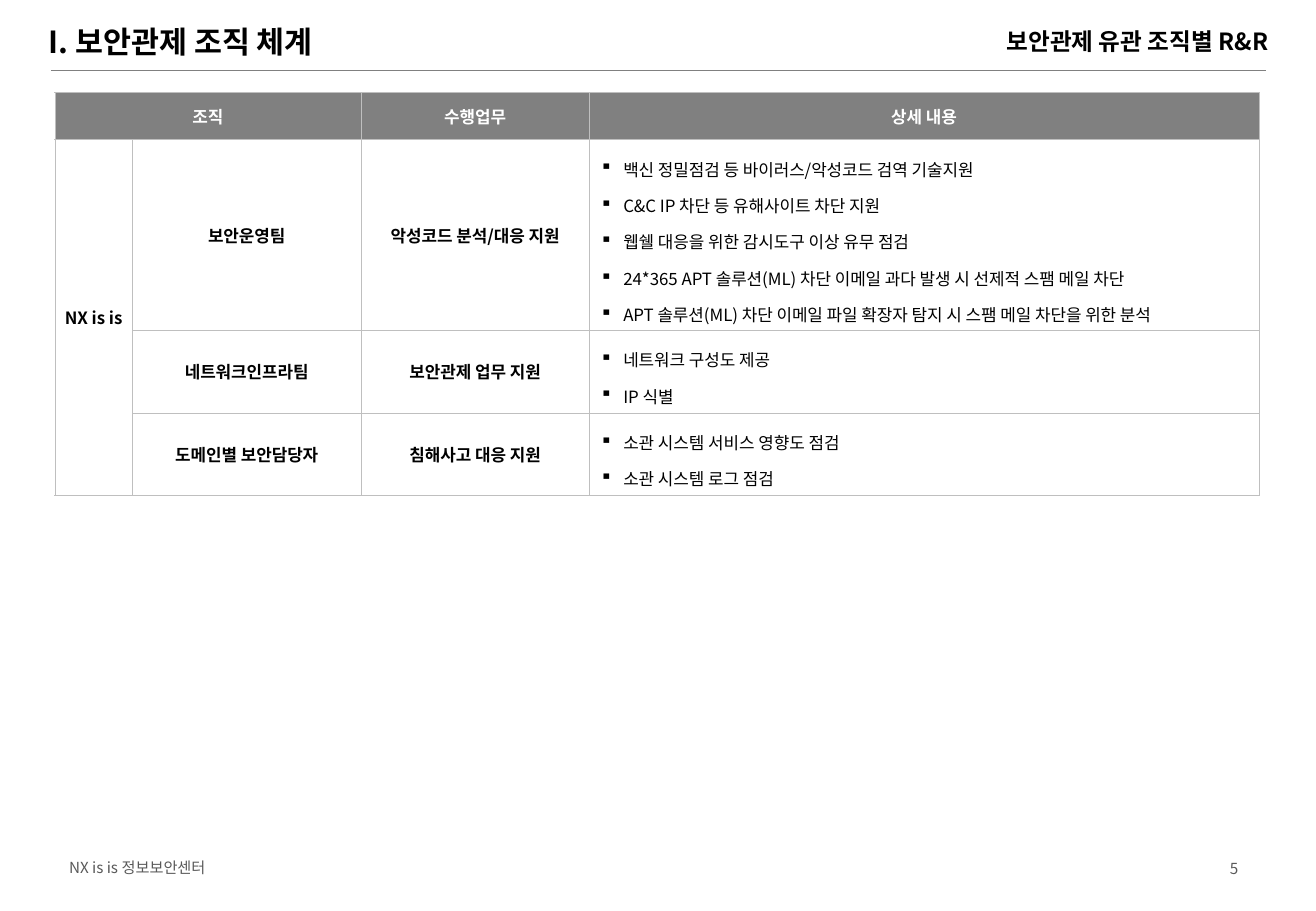
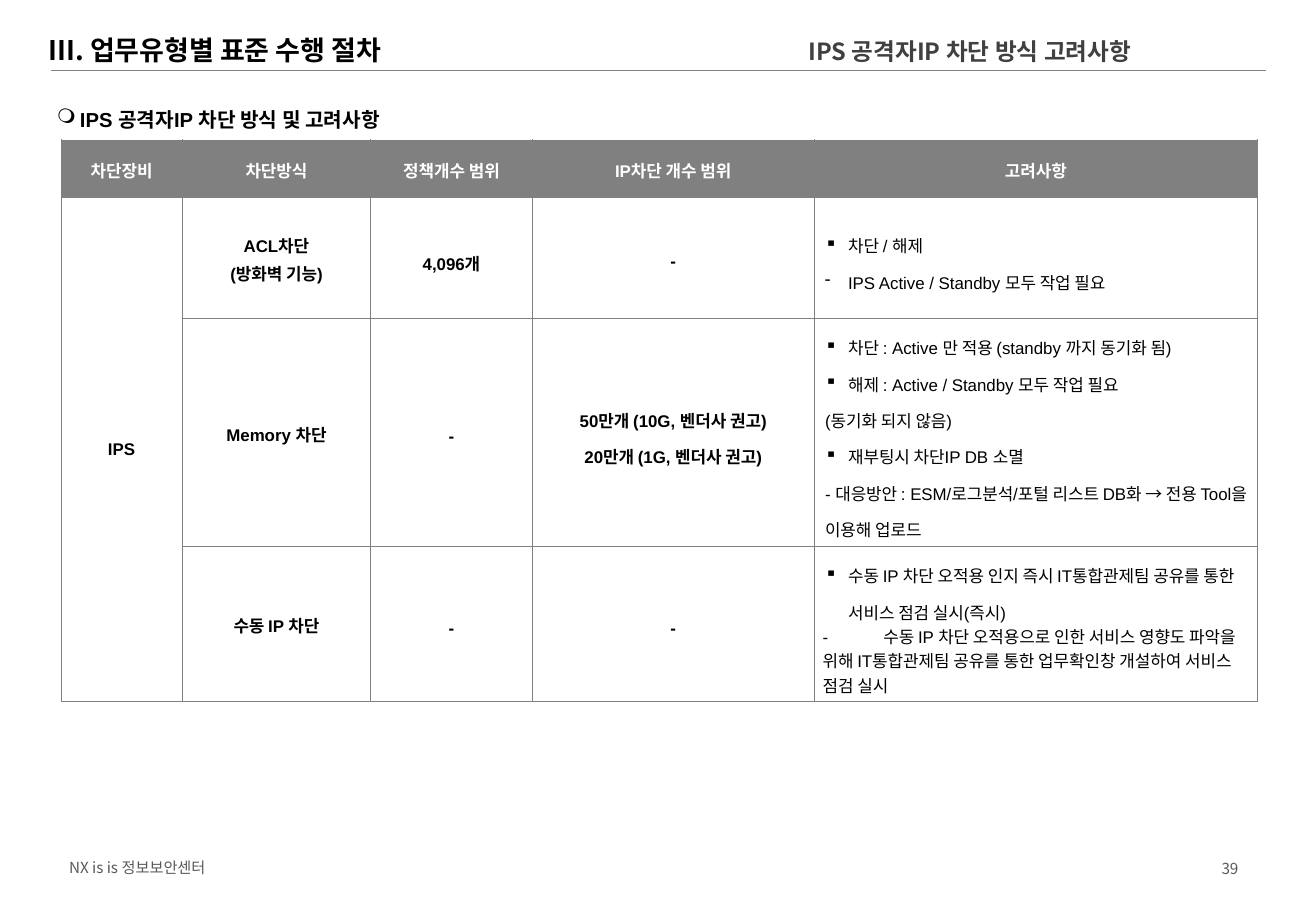
from lxml import etree
from pptx import Presentation
from pptx.dml.color import RGBColor
from pptx.enum.shapes import MSO_CONNECTOR
from pptx.enum.text import MSO_ANCHOR, PP_ALIGN
from pptx.oxml.ns import qn
from pptx.util import Emu, Pt

LEFT, CENTER, RIGHT = PP_ALIGN.LEFT, PP_ALIGN.CENTER, PP_ALIGN.RIGHT
MIDDLE = MSO_ANCHOR.MIDDLE
STRAIGHT = MSO_CONNECTOR.STRAIGHT

COLORS = {
    "black": "000000",
    "white": "FFFFFF",
    "topic": "404040",
    "footer": "595959",
    "gray": "808080",
    "light": "BFBFBF",
}
KOREAN, LATIN = "Noto Sans CJK KR", "Arial"
EMU_PER_PX = 9144  # 100 px to the inch
TABLE_TEXT_SIZE = 10

# kind of cell line: alignment, bullet, left margin px, indent px, line spacing, bold
LINE_KINDS = {
    "tight": (CENTER, None, 0, 0, 1.0, True),
    "label": (CENTER, None, 0, 0, 1.15, True),
    "value": (CENTER, None, 0, 0, 1.5, True),
    "item": (LEFT, "▪", 21, -19, 1.5, False),
    "dash": (LEFT, "-", 21, -19, 1.5, False),
    "note": (LEFT, None, 2, 0, 1.5, False),
    "plain": (LEFT, None, 0, 0, 1.0, False),
}


def px(length):
    return Emu(length * EMU_PER_PX)


def color(name):
    return RGBColor.from_string(COLORS[name])


def lines(kind, *texts):
    return [(kind, text) for text in texts]


class Deck:
    """Holds the shared style and the current slide."""

    def __init__(self, width, height):
        self.presentation = Presentation()
        self.presentation.slide_width = px(width)
        self.presentation.slide_height = px(height)
        self.slide = None

    def add_slide(self, page):
        layout = self.presentation.slide_layouts[5]
        self.slide = self.presentation.slides.add_slide(layout)
        self.rule(42, 58, 1042)
        self.text("NX is is 정보보안센터", (47, 701, 280, 26), 9, "footer")
        self.text(page, (776, 695, 253, 40), 9, "footer", align=RIGHT)

    def style_runs(self, paragraph, size, color_name, bold, font=KOREAN):
        for run in paragraph.runs:
            run.font.size = Pt(size)
            run.font.bold = bold
            run.font.name = font
            run.font.color.rgb = color(color_name)
            east_asian = etree.SubElement(run.font._element, qn("a:ea"))
            east_asian.set("typeface", KOREAN)

    def indent(self, paragraph, margin, first, bullet=None, tab=None):
        properties = paragraph._p.get_or_add_pPr()
        properties.set("marL", str(px(margin)))
        properties.set("indent", str(px(first)))
        if bullet:
            etree.SubElement(properties, qn("a:buChar")).set("char", bullet)
        if tab:
            tabs = etree.SubElement(properties, qn("a:tabLst"))
            stop = etree.SubElement(tabs, qn("a:tab"))
            stop.set("pos", str(px(tab)))
            stop.set("algn", "l")

    def place(self, shape, box):
        shape.left, shape.top, shape.width, shape.height = map(px, box)

    def title(self, text, top, size):
        shape = self.slide.shapes.title
        self.place(shape, (30, top, 760, 36))
        frame = shape.text_frame
        frame.text = text
        frame.vertical_anchor = MIDDLE
        paragraph = frame.paragraphs[0]
        paragraph.alignment = LEFT
        self.style_runs(paragraph, size, "black", True)

    def text(self, text, box, size, color_name, bold=False, align=LEFT,
             font=KOREAN, bullet=None):
        shape = self.slide.shapes.add_textbox(*map(px, box))
        frame = shape.text_frame
        frame.text = text
        frame.word_wrap = True
        frame.vertical_anchor = MIDDLE
        paragraph = frame.paragraphs[0]
        paragraph.alignment = align
        if bullet:
            self.indent(paragraph, 19, -19, bullet)
        self.style_runs(paragraph, size, color_name, bold, font)
        return shape

    def topic(self, text, right, top, color_name):
        shape = self.text(text, (right - 441, top, 441, 22), 14, color_name,
                          bold=True, align=RIGHT)
        frame = shape.text_frame
        frame.margin_left = frame.margin_right = px(2)
        frame.margin_top = frame.margin_bottom = 0

    def rule(self, left, top, right):
        connector = self.slide.shapes.add_connector(
            STRAIGHT, px(left), px(top), px(right), px(top))
        connector.line.color.rgb = color("gray")
        connector.line.width = Pt(1)
        etree.SubElement(connector._element.spPr, qn("a:effectLst"))

    def border(self, cell, color_name):
        properties = cell._tc.get_or_add_tcPr()
        for side in ("a:lnL", "a:lnR", "a:lnT", "a:lnB"):
            line = etree.SubElement(properties, qn(side))
            line.set("w", str(Pt(0.25)))
            fill = etree.SubElement(line, qn("a:solidFill"))
            etree.SubElement(fill, qn("a:srgbClr")).set("val", COLORS[color_name])

    def fill_cell(self, cell, content, text_color, font):
        cell.vertical_anchor = MIDDLE
        centered = LINE_KINDS[content[0][0]][0] == CENTER
        cell.margin_left = cell.margin_right = px(4 if centered else 7)
        cell.margin_top = cell.margin_bottom = px(0 if centered else 4)
        frame = cell.text_frame
        frame.text = "\n".join(text for _, text in content)
        for paragraph, (kind, text) in zip(frame.paragraphs, content):
            align, bullet, margin, first, spacing, bold = LINE_KINDS[kind]
            paragraph.alignment = align
            paragraph.line_spacing = spacing
            self.indent(paragraph, margin, first, bullet,
                        tab=19 if "\t" in text else None)
            self.style_runs(paragraph, TABLE_TEXT_SIZE, text_color, bold, font)

    def table(self, left, top, widths, heights, rows, border, font, merges):
        frame = self.slide.shapes.add_table(
            len(heights), len(widths), px(left), px(top),
            px(sum(widths)), px(sum(heights)))
        table = frame.table
        table.first_row = table.horz_banding = False
        for column, width in zip(table.columns, widths):
            column.width = px(width)
        for row, height in zip(table.rows, heights):
            row.height = px(height)
        for row_index, row in enumerate(rows):
            header = row_index == 0
            for column_index, content in enumerate(row):
                cell = table.cell(row_index, column_index)
                self.border(cell, border)
                cell.fill.solid()
                cell.fill.fore_color.rgb = color("gray" if header else "white")
                if content:
                    self.fill_cell(cell, content, "white" if header else "black", font)
        for first, last in merges:
            table.cell(*first).merge(table.cell(*last))


def build_roles(deck):
    deck.add_slide("5")
    deck.title("I. 보안관제 조직 체계", 16, 18)
    deck.topic("보안관제 유관 조직별 R&R", 1046, 23, "black")
    rows = [
        [lines("tight", "조직"), None, lines("tight", "수행업무"),
         lines("tight", "상세 내용")],
        [lines("tight", "NX is is"), lines("tight", "보안운영팀"),
         lines("tight", "악성코드 분석/대응 지원"),
         lines("item",
               "백신 정밀점검 등 바이러스/악성코드 검역 기술지원",
               "C&C IP 차단 등 유해사이트 차단 지원",
               "웹쉘 대응을 위한 감시도구 이상 유무 점검",
               "24*365 APT 솔루션(ML) 차단 이메일 과다 발생 시 선제적 스팸 메일 차단",
               "APT 솔루션(ML) 차단 이메일 파일 확장자 탐지 시 스팸 메일 차단을 위한 분석")],
        [None, lines("tight", "네트워크인프라팀"),
         lines("tight", "보안관제 업무 지원"),
         lines("item", "네트워크 구성도 제공", "IP 식별")],
        [None, lines("tight", "도메인별 보안담당자"),
         lines("tight", "침해사고 대응 지원"),
         lines("item", "소관 시스템 서비스 영향도 점검", "소관 시스템 로그 점검")],
    ]
    deck.table(45, 76, [64, 188, 188, 551], [39, 157, 68, 68], rows, "light",
               KOREAN, [((0, 0), (0, 1)), ((1, 0), (3, 0))])


def build_blocking(deck):
    deck.add_slide("39")
    deck.title("III. 업무유형별 표준 수행 절차", 23, 16)
    deck.topic("IPS 공격자IP 차단 방식 고려사항", 933, 31, "topic")
    deck.text("IPS 공격자IP 차단 방식 및 고려사항", (37, 83, 354, 30), 12, "black",
              bold=True, font=LATIN, bullet="❍")
    headings = ["차단장비", "차단방식", "정책개수 범위", "IP차단 개수 범위", "고려사항"]
    rows = [
        [lines("label", heading) for heading in headings],
        [lines("label", "IPS"), lines("label", "ACL차단", "(방화벽 기능)"),
         lines("value", "4,096개"), lines("value", "-"),
         lines("item", "차단 / 해제")
         + lines("dash", "IPS Active / Standby 모두 작업 필요")],
        [None, lines("label", "Memory 차단"), lines("value", "-"),
         lines("value", "50만개 (10G, 벤더사 권고)", "20만개 (1G, 벤더사 권고)"),
         lines("item", "차단 : Active 만 적용 (standby 까지 동기화 됨)",
               "해제 : Active / Standby 모두 작업 필요")
         + lines("note", "(동기화 되지 않음)")
         + lines("item", "재부팅시 차단IP DB 소멸")
         + lines("note", "- 대응방안 : ESM/로그분석/포털 리스트 DB화 → 전용 Tool을 이용해 업로드")],
        [None, lines("label", "수동 IP 차단"), lines("value", "-"), lines("value", "-"),
         lines("item", "수동 IP 차단 오적용 인지 즉시 IT통합관제팀 공유를 통한 서비스 점검 실시(즉시)")
         + lines("plain", "-\t수동 IP 차단 오적용으로 인한 서비스 영향도 파악을 위해 "
                 "IT통합관제팀 공유를 통한 업무확인창 개설하여 서비스 점검 실시")],
    ]
    deck.table(50, 115, [100, 155, 133, 232, 365], [47, 100, 188, 127], rows, "gray",
               LATIN, [((1, 0), (3, 0))])


def main():
    deck = Deck(1083, 750)
    build_roles(deck)
    build_blocking(deck)
    deck.presentation.save("out.pptx")


if __name__ == "__main__":
    main()
